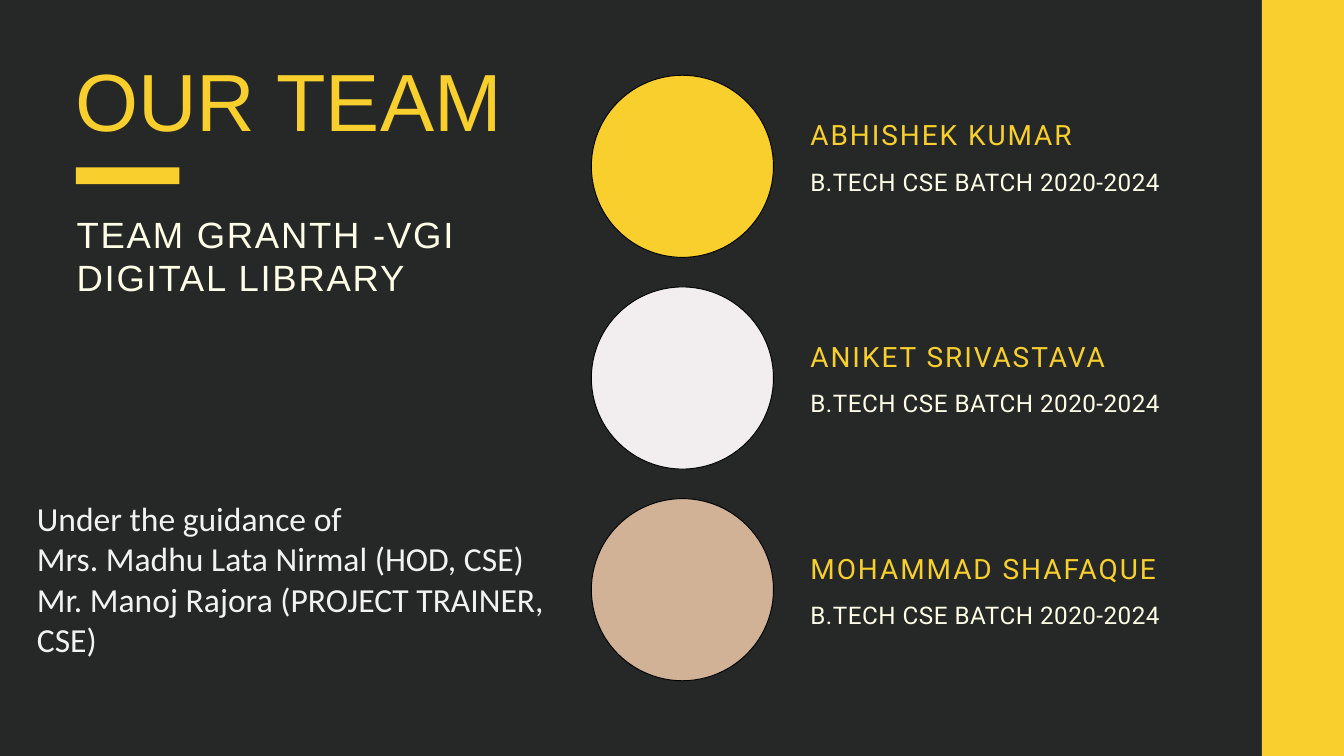
from dataclasses import dataclass

from pptx import Presentation
from pptx.dml.color import RGBColor
from pptx.enum.shapes import MSO_SHAPE
from pptx.enum.text import MSO_ANCHOR, MSO_AUTO_SIZE, PP_ALIGN
from pptx.shapes.autoshape import Shape
from pptx.slide import Slide
from pptx.util import Inches, Pt

COLORS = {
    "background": "252827",
    "yellow": "F8CF2C",
    "cream": "FFFEE6",
    "pale": "F2EDEE",
    "tan": "D1B297",
    "guidance": "F2F2F2",
    "outline": "000000",
}
CIRCLE_LEFT, CIRCLE_TOP, CIRCLE_SIZE, CIRCLE_PITCH = 8.8, 1.12, 2.71, 3.15
MEMBER_LEFT, BATCH_OFFSET = 12.06, 0.66
BATCH = "B.TECH CSE BATCH 2020-2024"


@dataclass(frozen=True)
class Box:
    left: float
    top: float
    width: float
    height: float

    def lengths(self) -> list[int]:
        return [Inches(v) for v in (self.left, self.top, self.width, self.height)]


@dataclass(frozen=True)
class Style:
    font: str
    size: float
    color: str
    line_spacing: float | None = None
    tracking: float = 0


@dataclass(frozen=True)
class Member:
    name: str
    name_top: float
    circle_color: str


TITLE = Style("Arial", 86.9, "yellow", 95.5)
SUBTITLE = Style("Arial", 39.1, "cream", 46.9, 1.9)
NAME = Style("Roboto", 30, "yellow", 36, 2.1)
DETAIL = Style("Roboto", 26, "cream", 36.4, 0.5)
GUIDANCE = Style("Calibri", 36, "guidance")

MEMBERS = [
    Member("ABHISHEK KUMAR", 1.75, "yellow"),
    Member("ANIKET SRIVASTAVA", 5.05, "pale"),
    Member("MOHAMMAD SHAFAQUE", 8.2, "tan"),
]


def rgb(color: str) -> RGBColor:
    return RGBColor.from_string(COLORS[color])


def write(shape: Shape, lines: list[str], style: Style, inset: bool = False) -> None:
    frame = shape.text_frame
    frame.word_wrap = True
    frame.auto_size = MSO_AUTO_SIZE.NONE
    frame.vertical_anchor = MSO_ANCHOR.TOP
    if not inset:
        frame.margin_left = frame.margin_right = 0
        frame.margin_top = frame.margin_bottom = 0
    for index, line in enumerate(lines):
        paragraph = frame.add_paragraph() if index else frame.paragraphs[0]
        paragraph.alignment = PP_ALIGN.LEFT
        if style.line_spacing:
            paragraph.line_spacing = Pt(style.line_spacing)
        run = paragraph.add_run()
        run.text = line
        run.font.name = style.font
        run.font.size = Pt(style.size)
        run.font.color.rgb = rgb(style.color)
        if style.tracking:
            run.font._element.set("spc", str(round(style.tracking * 100)))


def add_text(slide: Slide, box: Box, lines: list[str], style: Style,
             inset: bool = False) -> None:
    write(slide.shapes.add_textbox(*box.lengths()), lines, style, inset)


def add_filled(slide: Slide, kind: MSO_SHAPE, box: Box, color: str,
               outlined: bool = False) -> None:
    shape = slide.shapes.add_shape(kind, *box.lengths())
    shape.shadow.inherit = False
    shape.fill.solid()
    shape.fill.fore_color.rgb = rgb(color)
    if outlined:
        shape.line.color.rgb = rgb("outline")
        shape.line.width = Pt(1)
    else:
        shape.line.fill.background()


def add_member(slide: Slide, index: int, member: Member) -> None:
    circle = Box(CIRCLE_LEFT, CIRCLE_TOP + index * CIRCLE_PITCH, CIRCLE_SIZE, CIRCLE_SIZE)
    add_filled(slide, MSO_SHAPE.OVAL, circle, member.circle_color, outlined=True)
    add_text(slide, Box(MEMBER_LEFT, member.name_top, 6.19, 0.52), [member.name], NAME)
    add_text(slide, Box(MEMBER_LEFT, member.name_top + BATCH_OFFSET, 6.21, 0.47),
             [BATCH], DETAIL)


def main() -> None:
    prs = Presentation()
    prs.slide_width, prs.slide_height = Inches(20), Inches(11.25)
    slide = prs.slides.add_slide(prs.slide_layouts[5])
    slide.background.fill.solid()
    slide.background.fill.fore_color.rgb = rgb("background")

    # Heading
    title = slide.shapes.title
    title.left, title.top, title.width, title.height = Box(1.12, 0.87, 6.95, 1.38).lengths()
    write(title, ["OUR TEAM"], TITLE)
    add_filled(slide, MSO_SHAPE.RECTANGLE, Box(1.13, 2.49, 1.54, 0.25), "yellow")
    add_text(slide, Box(1.14, 3.15, 6.94, 1.26),
             ["TEAM GRANTH -VGI DIGITAL LIBRARY"], SUBTITLE)

    # Team members
    for index, member in enumerate(MEMBERS):
        add_member(slide, index, member)

    # Side band, bleeding over the slide edge
    add_filled(slide, MSO_SHAPE.RECTANGLE, Box(18.78, -0.75, 2.44, 12.75), "yellow")

    # Guidance credits
    add_text(slide, Box(0.45, 7.36, 7.79, 2.52), [
        "Under the guidance of",
        "Mrs. Madhu Lata Nirmal (HOD, CSE)",
        "Mr. Manoj Rajora (PROJECT TRAINER, CSE)",
    ], GUIDANCE, inset=True)

    prs.save("out.pptx")


if __name__ == "__main__":
    main()
